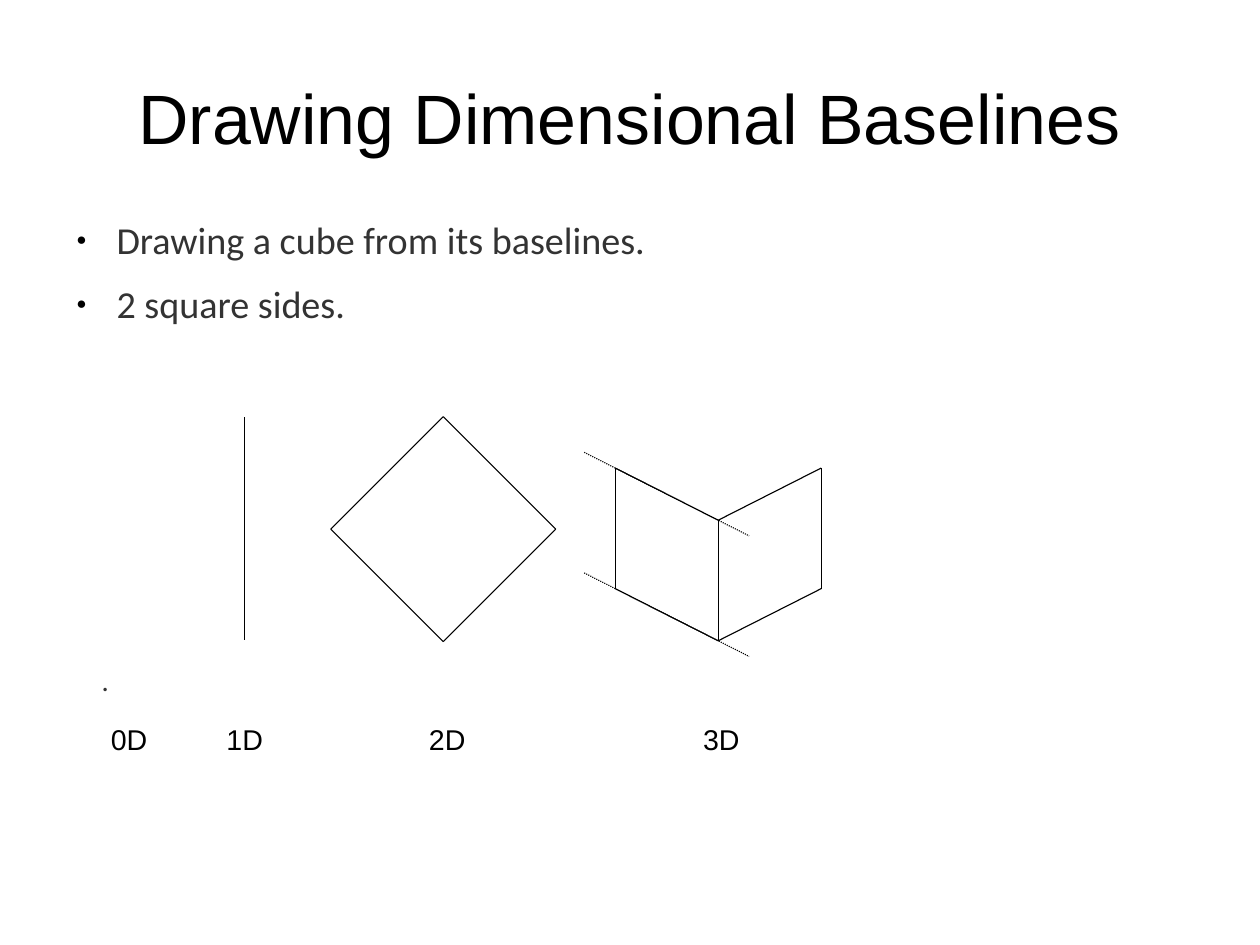
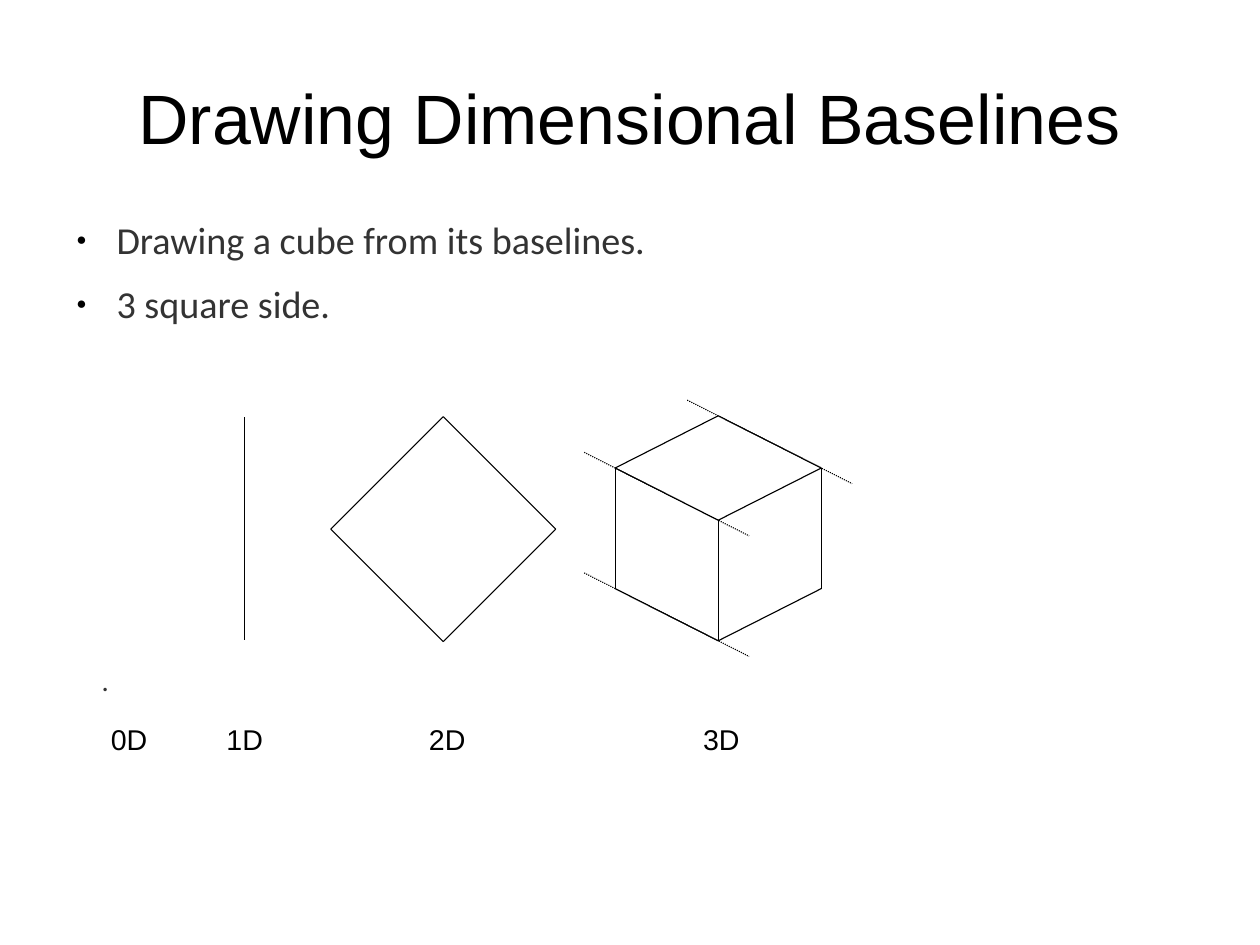
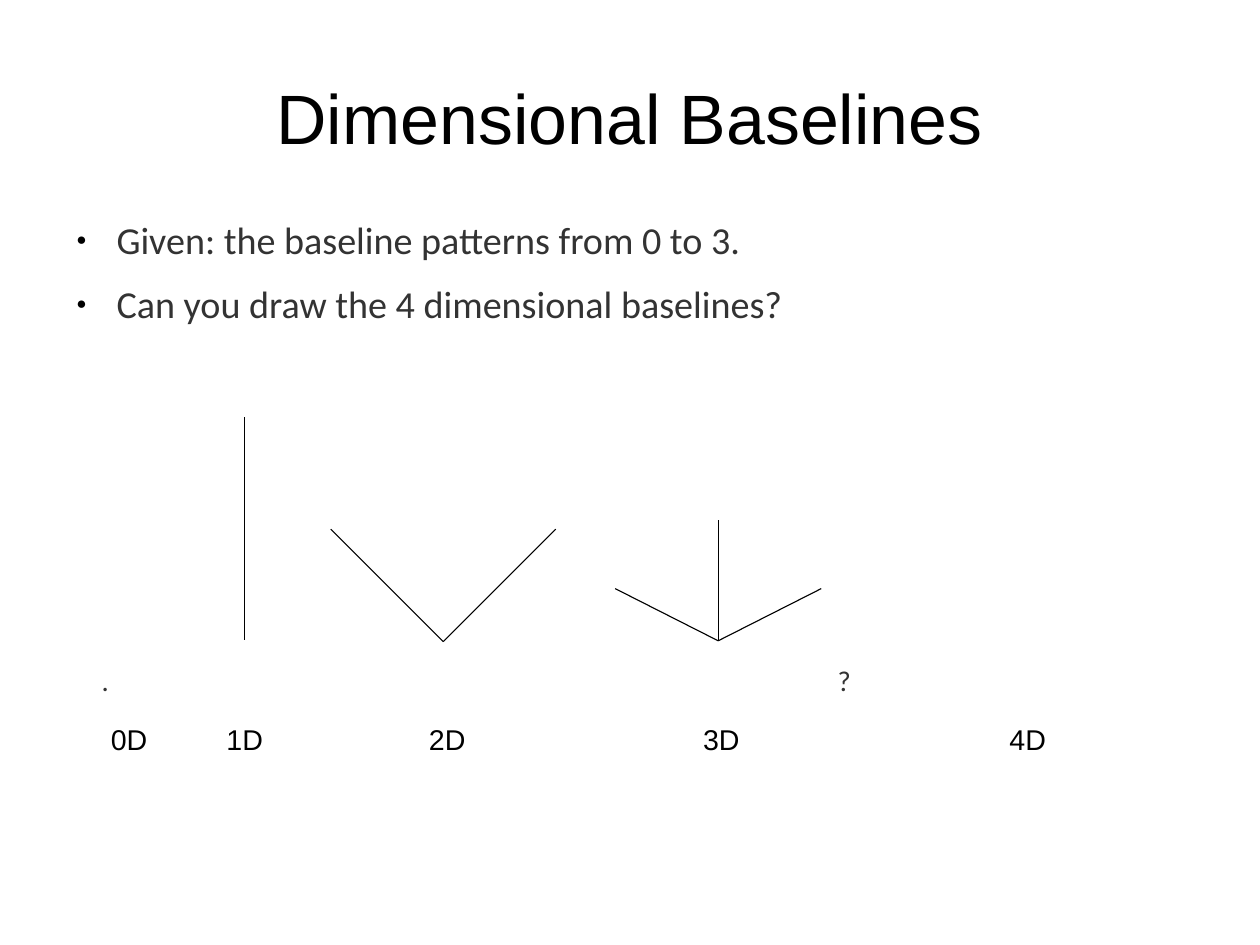
from dataclasses import dataclass
from typing import NamedTuple

from lxml.etree import SubElement
from pptx import Presentation
from pptx.dml.color import RGBColor
from pptx.enum.dml import MSO_LINE
from pptx.enum.shapes import MSO_CONNECTOR
from pptx.enum.text import MSO_ANCHOR, PP_ALIGN
from pptx.oxml.ns import qn
from pptx.slide import Slide
from pptx.util import Cm, Pt

BLACK = RGBColor(0x00, 0x00, 0x00)
DARK_GRAY = RGBColor(0x33, 0x33, 0x33)
HEADING_FONT = "Arial"
BODY_FONT = "Calibri"

MARGIN = 1.4
CONTENT_WIDTH = 25.2
LABEL_WIDTH = 2
LABEL_TOP = 16.05
MARK_TOP = 14.73
GUIDE_OVERHANG = 0.3


class Point(NamedTuple):
    """A place on the slide in centimetres."""
    x: float
    y: float

    def moved(self, right: float, down: float) -> "Point":
        return Point(self.x + right, self.y + down)


class Edge(NamedTuple):
    start: Point
    end: Point


class Label(NamedTuple):
    text: str
    center: float


@dataclass(frozen=True)
class BaselineSlide:
    title: str
    bullets: list[str]
    edges: list[Edge]
    guides: list[Edge]
    labels: list[Label]
    marks: list[Label]


# One dimension: an upright line
LINE_1D = Edge(Point(5.44, 9.27), Point(5.44, 14.22))

# Two dimensions: a square standing on its corner
SQUARE_CENTER = Point(9.85, 11.76)
SQUARE_RADIUS = 2.5
SQUARE_TOP = SQUARE_CENTER.moved(0, -SQUARE_RADIUS)
SQUARE_LEFT = SQUARE_CENTER.moved(-SQUARE_RADIUS, 0)
SQUARE_BOTTOM = SQUARE_CENTER.moved(0, SQUARE_RADIUS)
SQUARE_RIGHT = SQUARE_CENTER.moved(SQUARE_RADIUS, 0)
BASELINES_2D = [Edge(SQUARE_BOTTOM, SQUARE_LEFT), Edge(SQUARE_BOTTOM, SQUARE_RIGHT)]
SQUARE = BASELINES_2D + [Edge(SQUARE_TOP, SQUARE_LEFT), Edge(SQUARE_TOP, SQUARE_RIGHT)]

# Three dimensions: a cube seen from its front edge
CUBE_RUN, CUBE_RISE, CUBE_HEIGHT = 2.29, 1.16, 2.68
CUBE_BOTTOM = Point(15.96, 14.24)
CUBE_LEFT = CUBE_BOTTOM.moved(-CUBE_RUN, -CUBE_RISE)
CUBE_RIGHT = CUBE_BOTTOM.moved(CUBE_RUN, -CUBE_RISE)
TOP_FRONT, TOP_LEFT, TOP_RIGHT = (
    corner.moved(0, -CUBE_HEIGHT) for corner in (CUBE_BOTTOM, CUBE_LEFT, CUBE_RIGHT)
)
TOP_BACK = TOP_FRONT.moved(0, -2 * CUBE_RISE)
BASELINES_3D = [
    Edge(CUBE_BOTTOM, corner) for corner in (CUBE_LEFT, CUBE_RIGHT, TOP_FRONT)
]
TWO_SIDES = BASELINES_3D + [
    Edge(TOP_LEFT, TOP_FRONT),
    Edge(TOP_FRONT, TOP_RIGHT),
    Edge(CUBE_LEFT, TOP_LEFT),
    Edge(CUBE_RIGHT, TOP_RIGHT),
]
CUBE = TWO_SIDES + [Edge(TOP_LEFT, TOP_BACK), Edge(TOP_BACK, TOP_RIGHT)]
SIDE_GUIDES = [Edge(TOP_LEFT, TOP_FRONT), Edge(CUBE_LEFT, CUBE_BOTTOM)]
CUBE_GUIDES = SIDE_GUIDES + [Edge(TOP_BACK, TOP_RIGHT)]

LABELS = [Label("0D", 2.87), Label("1D", 5.44), Label("2D", 9.94), Label("3D", 16.03)]
POINT_0D = Label(".", 2.34)

SLIDES = [
    BaselineSlide(
        "Drawing Dimensional Baselines",
        ["Drawing a cube from its baselines.", "2 square sides."],
        [LINE_1D, *SQUARE, *TWO_SIDES], SIDE_GUIDES, LABELS, [POINT_0D],
    ),
    BaselineSlide(
        "Drawing Dimensional Baselines",
        ["Drawing a cube from its baselines.", "3 square side."],
        [LINE_1D, *SQUARE, *CUBE], CUBE_GUIDES, LABELS, [POINT_0D],
    ),
    BaselineSlide(
        "Dimensional Baselines",
        ["Given: the baseline patterns from 0 to 3.",
         "Can you draw the 4 dimensional baselines?"],
        [LINE_1D, *BASELINES_2D, *BASELINES_3D], [],
        LABELS + [Label("4D", 22.84)], [POINT_0D, Label("?", 18.76)],
    ),
]


def add_bullet(paragraph) -> None:
    properties = paragraph._p.get_or_add_pPr()
    properties.set("marL", str(Cm(1.19)))
    properties.set("indent", str(-Cm(0.89)))
    color = SubElement(properties, qn("a:buClr"))
    SubElement(color, qn("a:srgbClr"), val=str(BLACK))
    SubElement(properties, qn("a:buSzPct"), val="45000")
    SubElement(properties, qn("a:buFont"), typeface=HEADING_FONT)
    SubElement(properties, qn("a:buChar"), char="●")


def add_text(slide: Slide, lines: list[str], left: float, top: float,
             width: float, height: float, *, size: float,
             font: str = HEADING_FONT, color: RGBColor = BLACK,
             align: PP_ALIGN = PP_ALIGN.CENTER,
             anchor: MSO_ANCHOR = MSO_ANCHOR.TOP, bulleted: bool = False) -> None:
    box = slide.shapes.add_textbox(Cm(left), Cm(top), Cm(width), Cm(height))
    frame = box.text_frame
    frame.word_wrap = True
    frame.vertical_anchor = anchor
    frame.margin_left = frame.margin_right = frame.margin_top = frame.margin_bottom = 0
    for index, line in enumerate(lines):
        paragraph = frame.add_paragraph() if index else frame.paragraphs[0]
        paragraph.alignment = align
        if bulleted:
            add_bullet(paragraph)
            paragraph.line_spacing = 0.9
            paragraph.space_after = Pt(14.1)
        run = paragraph.add_run()
        run.text = line
        run.font.name = font
        run.font.size = Pt(size)
        run.font.color.rgb = color


def draw_edge(slide: Slide, edge: Edge, dotted: bool = False) -> None:
    start, end = edge
    connector = slide.shapes.add_connector(
        MSO_CONNECTOR.STRAIGHT, Cm(start.x), Cm(start.y), Cm(end.x), Cm(end.y)
    )
    connector.line.color.rgb = BLACK
    connector.line.width = Pt(0.71)
    if dotted:
        connector.line.dash_style = MSO_LINE.ROUND_DOT
    SubElement(connector._element.spPr, qn("a:effectLst"))


def extended(edge: Edge) -> Edge:
    """Lengthen an edge by the guide overhang at both ends."""
    right = (edge.end.x - edge.start.x) * GUIDE_OVERHANG
    down = (edge.end.y - edge.start.y) * GUIDE_OVERHANG
    return Edge(edge.start.moved(-right, -down), edge.end.moved(right, down))


def build_slide(presentation, content: BaselineSlide) -> None:
    slide = presentation.slides.add_slide(presentation.slide_layouts[6])
    add_text(slide, [content.title], MARGIN, 0.84, CONTENT_WIDTH, 3.5,
             size=44, anchor=MSO_ANCHOR.MIDDLE)
    add_text(slide, content.bullets, MARGIN, 4.93, CONTENT_WIDTH, 3,
             size=24, font=BODY_FONT, color=DARK_GRAY,
             align=PP_ALIGN.LEFT, bulleted=True)
    for edge in content.edges:
        draw_edge(slide, edge)
    for guide in content.guides:
        draw_edge(slide, extended(guide), dotted=True)
    for label in content.labels:
        add_text(slide, [label.text], label.center - LABEL_WIDTH / 2, LABEL_TOP,
                 LABEL_WIDTH, 0.75, size=18)
    for mark in content.marks:
        add_text(slide, [mark.text], mark.center - LABEL_WIDTH / 2, MARK_TOP,
                 LABEL_WIDTH, 0.75, size=18, font=BODY_FONT, color=DARK_GRAY)


def main() -> None:
    presentation = Presentation()
    presentation.slide_width = Cm(28)
    presentation.slide_height = Cm(21)
    for content in SLIDES:
        build_slide(presentation, content)
    presentation.save("out.pptx")


if __name__ == "__main__":
    main()
